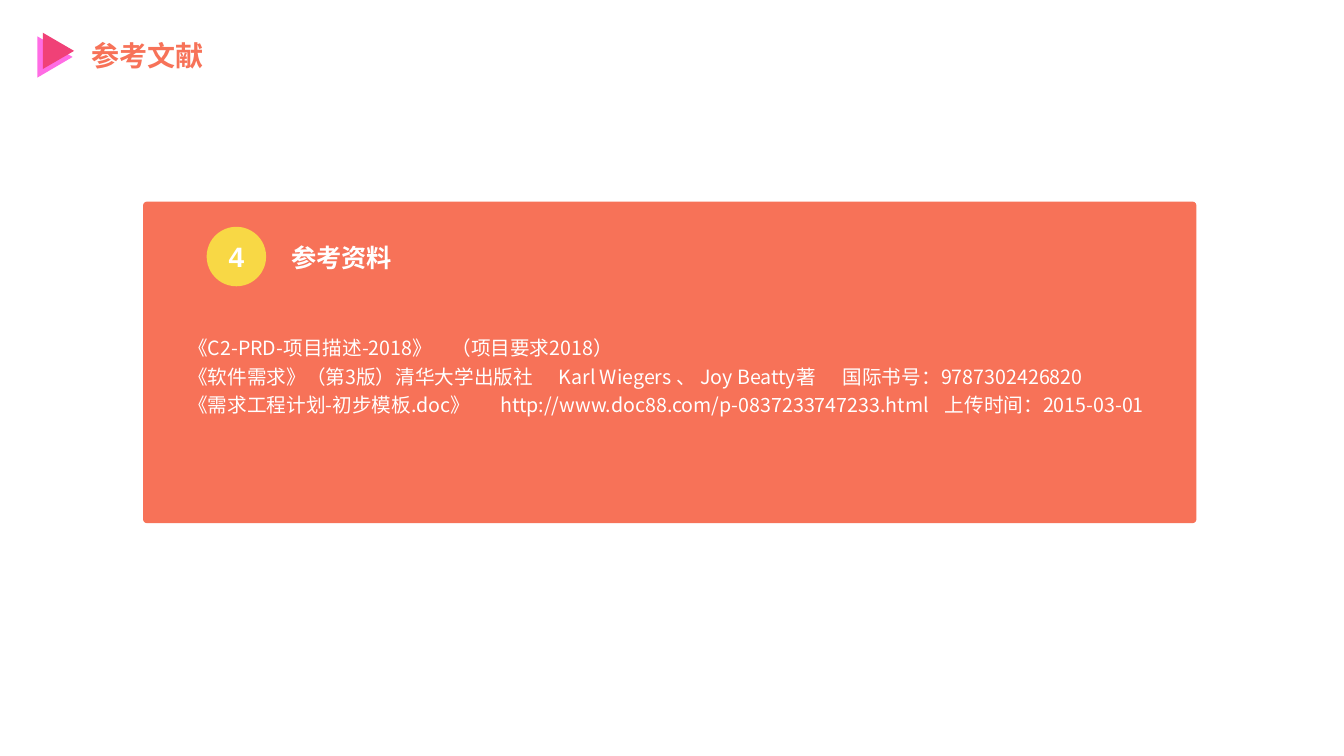
"""Build the reference list slide."""
from dataclasses import dataclass

from lxml.etree import SubElement
from pptx import Presentation
from pptx.dml.color import RGBColor
from pptx.enum.shapes import MSO_SHAPE as Preset
from pptx.enum.text import MSO_ANCHOR as Anchor, PP_ALIGN as Align
from pptx.oxml.ns import qn
from pptx.shapes.autoshape import Shape
from pptx.slide import Slide
from pptx.util import Pt

CORAL = RGBColor(0xF7, 0x72, 0x58)
VIOLET = RGBColor(0xFF, 0x6C, 0xE4)
PINK = RGBColor(0xF0, 0x41, 0x77)
YELLOW = RGBColor(0xF8, 0xD8, 0x45)
WHITE = RGBColor(0xFF, 0xFF, 0xFF)
CJK_FONT = "Noto Sans CJK SC"
LATIN_FONT = "Arial"


@dataclass(frozen=True)
class Box:
    left: float
    top: float
    width: float
    height: float


@dataclass(frozen=True)
class Figure:
    preset: Preset
    box: Box
    color: RGBColor
    rotation: float = 0


@dataclass(frozen=True)
class Style:
    size: float
    color: RGBColor
    font: str = CJK_FONT
    bold: bool = True
    line_spacing: float = 1.0


@dataclass(frozen=True)
class Entry:
    text: str
    tab_stops: tuple[float, ...] = ()


MARKERS = (
    Figure(Preset.ISOSCELES_TRIANGLE, Box(24.5, 28.1, 29.5, 25.2), VIOLET, 90),
    Figure(Preset.ISOSCELES_TRIANGLE, Box(28.8, 25.2, 25.9, 22.3), PINK, 90),
)
PANEL = Figure(Preset.ROUNDED_RECTANGLE, Box(102.2, 144, 752.4, 229.7), CORAL)
BADGE = Figure(Preset.OVAL, Box(147.6, 162, 42.5, 42.5), YELLOW)
REFERENCES = (
    Entry("《C2-PRD-项目描述-2018》\t（项目要求2018）", (188,)),
    Entry("《软件需求》（第3版）清华大学出版社\tKarl Wiegers 、 Joy Beatty著\t国际书号：9787302426820",
          (264.6, 467.5)),
    Entry("《需求工程计划-初步模板.doc》\thttp://www.doc88.com/p-0837233747233.html\t上传时间：2015-03-01",
          (222.9, 540.4)),
)


def draw_figure(slide: Slide, figure: Figure) -> Shape:
    box = figure.box
    shape = slide.shapes.add_shape(
        figure.preset, Pt(box.left), Pt(box.top), Pt(box.width), Pt(box.height))
    shape.shadow.inherit = False
    shape.fill.solid()
    shape.fill.fore_color.rgb = figure.color
    shape.line.fill.background()
    shape.rotation = figure.rotation
    return shape


def write(shape: Shape, entries: tuple[Entry, ...], style: Style) -> None:
    frame = shape.text_frame
    frame.word_wrap = True
    frame.text = "\n".join(entry.text for entry in entries)
    for entry, paragraph in zip(entries, frame.paragraphs):
        paragraph.line_spacing = style.line_spacing
        if entry.tab_stops:
            stops = SubElement(paragraph._p.get_or_add_pPr(), qn("a:tabLst"))
            for position in entry.tab_stops:
                SubElement(stops, qn("a:tab"), pos=str(Pt(position)), algn="l")
        for run in paragraph.runs:
            run.font.size = Pt(style.size)
            run.font.bold = style.bold
            run.font.color.rgb = style.color
            run.font.name = style.font
            SubElement(run.font._element, qn("a:ea"), typeface=CJK_FONT)


def add_text(slide: Slide, box: Box, entries: tuple[Entry, ...], style: Style) -> None:
    textbox = slide.shapes.add_textbox(
        Pt(box.left), Pt(box.top), Pt(box.width), Pt(box.height))
    write(textbox, entries, style)


def main() -> None:
    deck = Presentation()
    deck.slide_width, deck.slide_height = Pt(960), Pt(540)
    slide = deck.slides.add_slide(deck.slide_layouts[6])

    add_text(slide, Box(58.3, 23.8, 159.8, 31.7), (Entry("参考文献"),), Style(20, CORAL))
    for marker in MARKERS:
        draw_figure(slide, marker)
    panel = draw_figure(slide, PANEL)
    panel.adjustments[0] = 0.012

    badge = draw_figure(slide, BADGE)
    write(badge, (Entry("4"),), Style(20, WHITE, LATIN_FONT))
    badge.text_frame.vertical_anchor = Anchor.MIDDLE
    badge.text_frame.paragraphs[0].alignment = Align.CENTER

    add_text(slide, Box(127.4, 233.3, 705.6, 73.4), REFERENCES,
             Style(14, WHITE, bold=False, line_spacing=1.2))
    add_text(slide, Box(200.9, 169.2, 154.8, 28.8), (Entry("参考资料"),),
             Style(18, WHITE, LATIN_FONT))

    deck.save("out.pptx")


if __name__ == "__main__":
    main()
